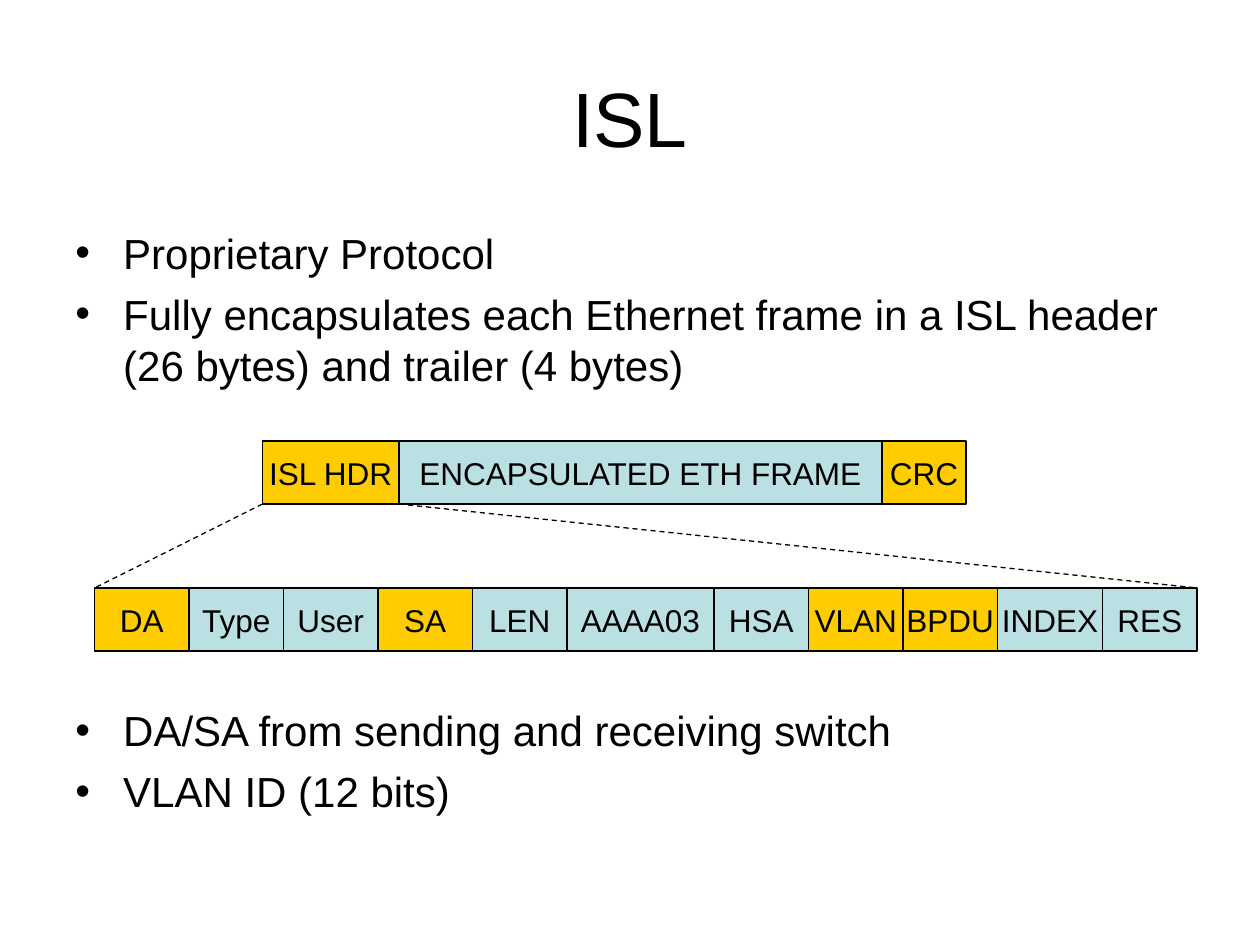
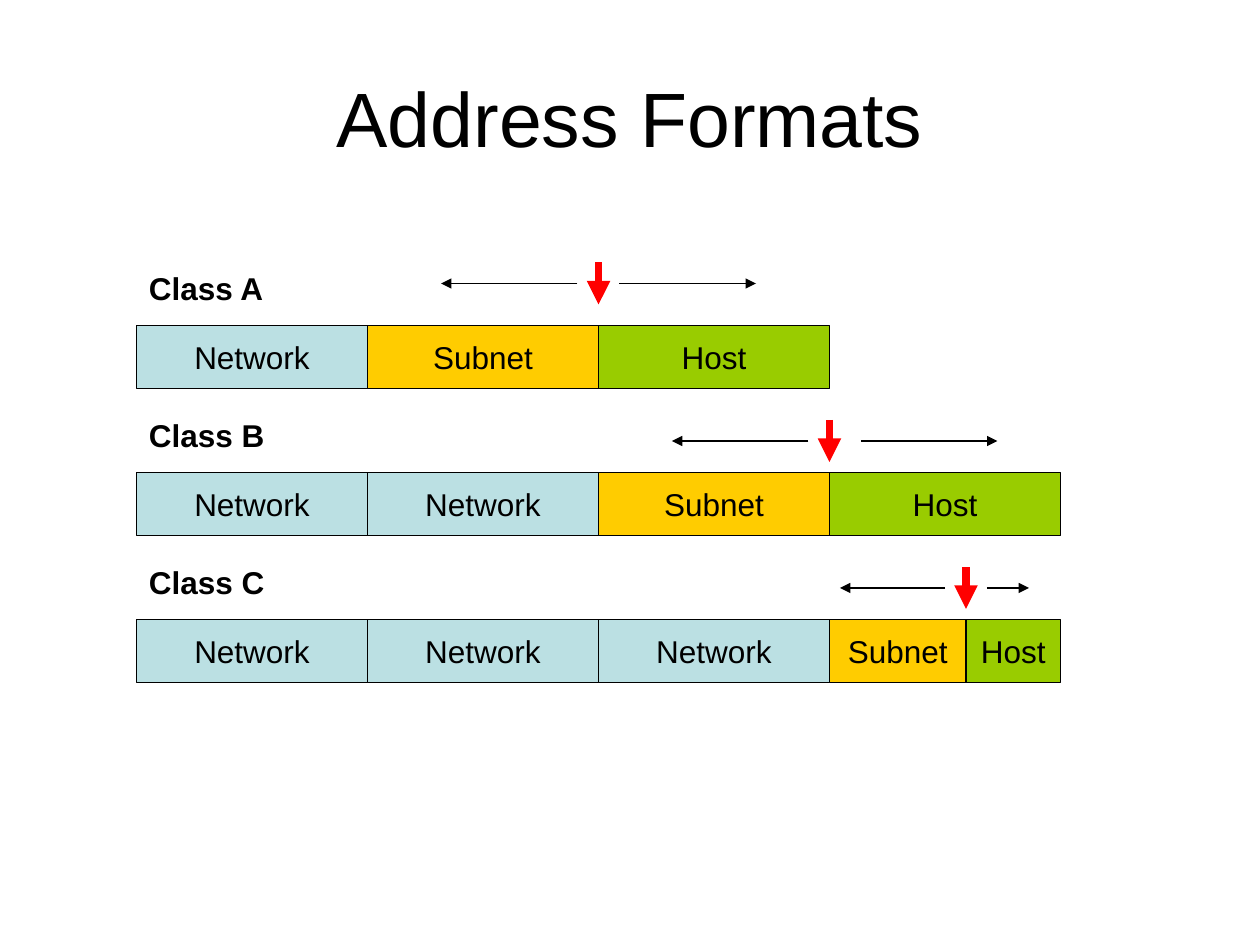
from lxml import etree
from pptx import Presentation
from pptx import util as u
from pptx.dml.color import RGBColor
from pptx.enum import dml, shapes, text
from pptx.oxml import ns

BLACK = RGBColor(0x00, 0x00, 0x00)
RED = RGBColor(0xFF, 0x00, 0x00)
GOLD = RGBColor(0xFF, 0xCC, 0x00)
BLUE = RGBColor(0xBB, 0xE0, 0xE3)
GREEN = RGBColor(0x99, 0xCC, 0x00)

MID, LEFT = text.PP_ALIGN.CENTER, text.PP_ALIGN.LEFT
TITLE = {"size": u.Pt(44), "bold": False}
BODY = {"size": u.Pt(24), "bold": False}
CELL = {"size": u.Pt(18), "bold": False}
LABEL = {"size": u.Pt(18), "bold": True}
LEAD = 1.21
TALL = 6


def grid(count):
    """Turn twelfths of an inch into a length."""
    return u.Inches(count / 12)


def style(para, form, align=LEFT):
    """Format one paragraph from a dict of font values."""
    para.alignment = align
    para.line_spacing = u.Pt(round(form["size"].pt * LEAD))
    for name, value in {"name": "Arial", **form}.items():
        setattr(para.font, name, value)
    para.font.color.rgb = BLACK


def head(deck, words):
    """Add a title-only slide and set its title."""
    slide = deck.slides.add_slide(deck.slide_layouts[5])
    title = slide.shapes.title
    box = {"left": 0.5, "top": 0.3, "width": 9, "height": 1.25}
    for name, value in box.items():
        setattr(title, name, u.Inches(value))
    frame = title.text_frame
    frame.text = words
    frame.auto_size = text.MSO_AUTO_SIZE.NONE
    frame.vertical_anchor = text.MSO_ANCHOR.MIDDLE
    style(frame.paragraphs[0], TITLE, MID)
    return slide


def note(slide, left, top, width, height):
    """Add a wrapping text box and return its frame."""
    frame = slide.shapes.add_textbox(left, top, width, height).text_frame
    frame.word_wrap = True
    return frame


def points(slide, top, height, items):
    """Add a bulleted list across the slide."""
    frame = note(slide, u.Inches(0.5), u.Inches(top), u.Inches(9), u.Inches(height))
    for i, item in enumerate(items):
        para = frame.paragraphs[0] if i == 0 else frame.add_paragraph()
        para.text = item
        props = para._p.get_or_add_pPr()
        props.set("marL", str(u.Inches(0.38)))
        props.set("indent", str(-u.Inches(0.38)))
        etree.SubElement(props, ns.qn("a:buFont"), typeface="Arial")
        etree.SubElement(props, ns.qn("a:buChar"), char="•")
        style(para, BODY)
        para.space_before = u.Pt(6 if i else 0)


def fields(slide, left, top, cells):
    """Lay labelled cells side by side, measured in twelfths."""
    for words, width, fill in cells:
        cell = slide.shapes.add_shape(
            shapes.MSO_SHAPE.RECTANGLE, grid(left), grid(top), grid(width), grid(TALL))
        cell.shadow.inherit = False
        cell.fill.solid()
        cell.fill.fore_color.rgb = fill
        cell.line.color.rgb = BLACK
        cell.line.width = u.Pt(0.75)
        frame = cell.text_frame
        frame.text = words
        frame.word_wrap = False
        frame.vertical_anchor = text.MSO_ANCHOR.MIDDLE
        style(frame.paragraphs[0], CELL, MID)
        left += width


def line(slide, start, end, color=BLACK, width=0.75, dash=False):
    """Draw a dashed guide or an arrow between two grid points."""
    link = slide.shapes.add_connector(
        shapes.MSO_CONNECTOR.STRAIGHT, *map(grid, start + end))
    link.line.color.rgb = color
    link.line.width = u.Pt(width)
    if dash:
        link.line.dash_style = dml.MSO_LINE.DASH
    else:
        etree.SubElement(link.line._get_or_add_ln(), ns.qn("a:tailEnd"), type="triangle")
    etree.SubElement(link._element.spPr, ns.qn("a:effectLst"))


def address(slide, left, top, name, cells, lift, reach, gaps):
    """Draw one address class with its movable subnet border."""
    fields(slide, left, top, cells)
    split = left + sum(width for _, width, _ in cells[:-1])
    tip = top - lift
    line(slide, (split, tip - 4), (split, tip), RED, 4.5)
    for sign, gap, span in zip((-1, 1), gaps, reach):
        near = split + sign * gap
        line(slide, (near, tip - 2), (near + sign * span, tip - 2))
    frame = note(slide, grid(left), grid(top - 6), grid(17), u.Inches(0.4))
    frame.text = name
    style(frame.paragraphs[0], LABEL)


def frames(deck):
    """Build the slide on ISL encapsulation."""
    slide = head(deck, "ISL")
    points(slide, 1.75, 1.4, [
        "Proprietary Protocol",
        "Fully encapsulates each Ethernet frame in a ISL header "
        "(26 bytes) and trailer (4 bytes)"])
    points(slide, 5.54, 1.1, [
        "DA/SA from sending and receiving switch", "VLAN ID (12 bits)"])
    outer = [("ISL HDR", 13, GOLD), ("ENCAPSULATED ETH FRAME", 46, BLUE), ("CRC", 8, GOLD)]
    names = "DA Type User SA LEN AAAA03 HSA VLAN BPDU INDEX RES".split()
    wide = {"AAAA03": 14, "INDEX": 10}
    keys = {"DA", "SA", "VLAN", "BPDU"}
    inner = [(name, wide.get(name, 9), GOLD if name in keys else BLUE) for name in names]
    fields(slide, 25, 42, outer)
    fields(slide, 9, 56, inner)
    end = 9 + sum(width for _, width, _ in inner)
    for start, stop in ((25, 9), (25 + outer[0][1], end)):
        line(slide, (start, 42 + TALL), (stop, 56), dash=True)


def classes(deck):
    """Build the slide on address classes."""
    slide = head(deck, "Address Formats")
    rows = [
        ("Class A", 22, 22, 2, (13, 13), (2, 2)),
        ("Class B", 22, 22, 1, (13, 13), (2, 3)),
        ("Class C", 13, 9, 1, (10, 4), (2, 2))]
    for i, (name, sub, host, lift, reach, gaps) in enumerate(rows):
        cells = [("Network", 22, BLUE)] * (i + 1)
        cells += [("Subnet", sub, GOLD), ("Host", host, GREEN)]
        address(slide, 13, 31 + 14 * i, name, cells, lift, reach, gaps)


def main():
    """Build and save the deck."""
    deck = Presentation()
    deck.slide_width, deck.slide_height = u.Inches(10), u.Inches(7.5)
    frames(deck)
    classes(deck)
    deck.save("out.pptx")


if __name__ == "__main__":
    main()
